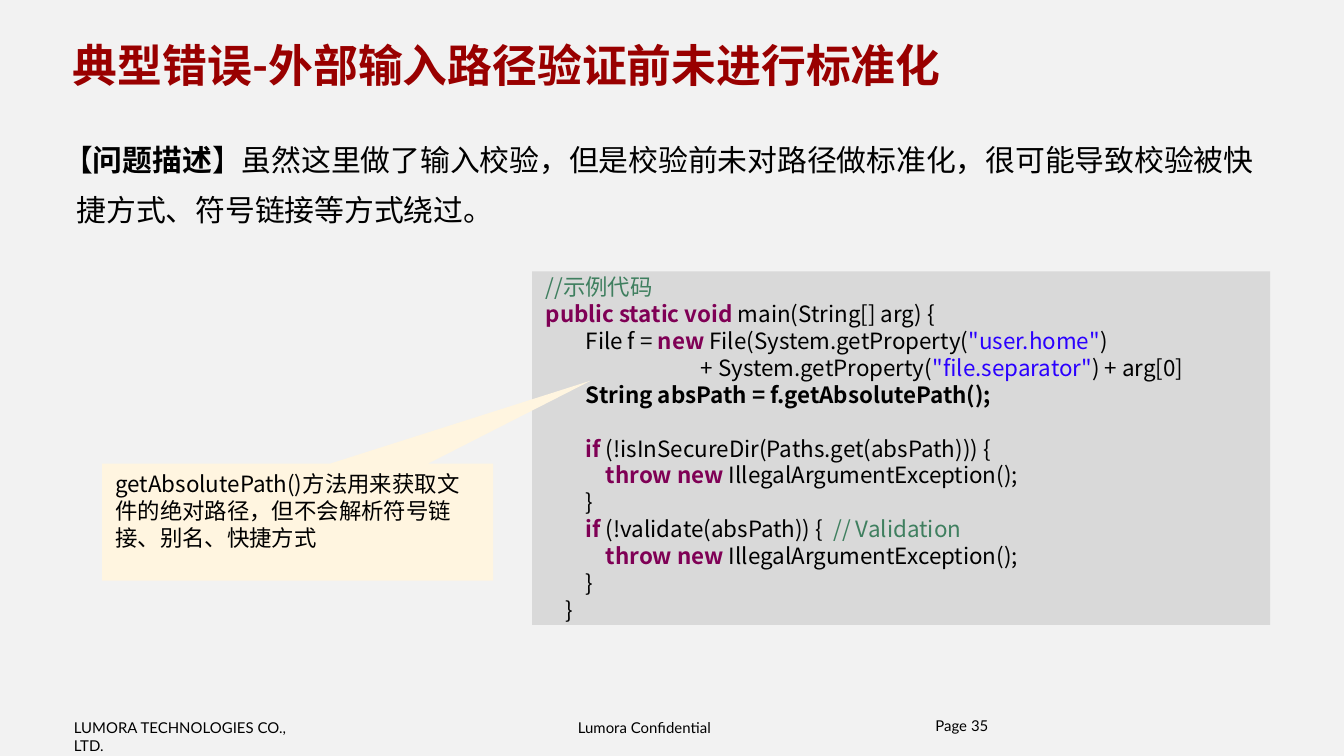
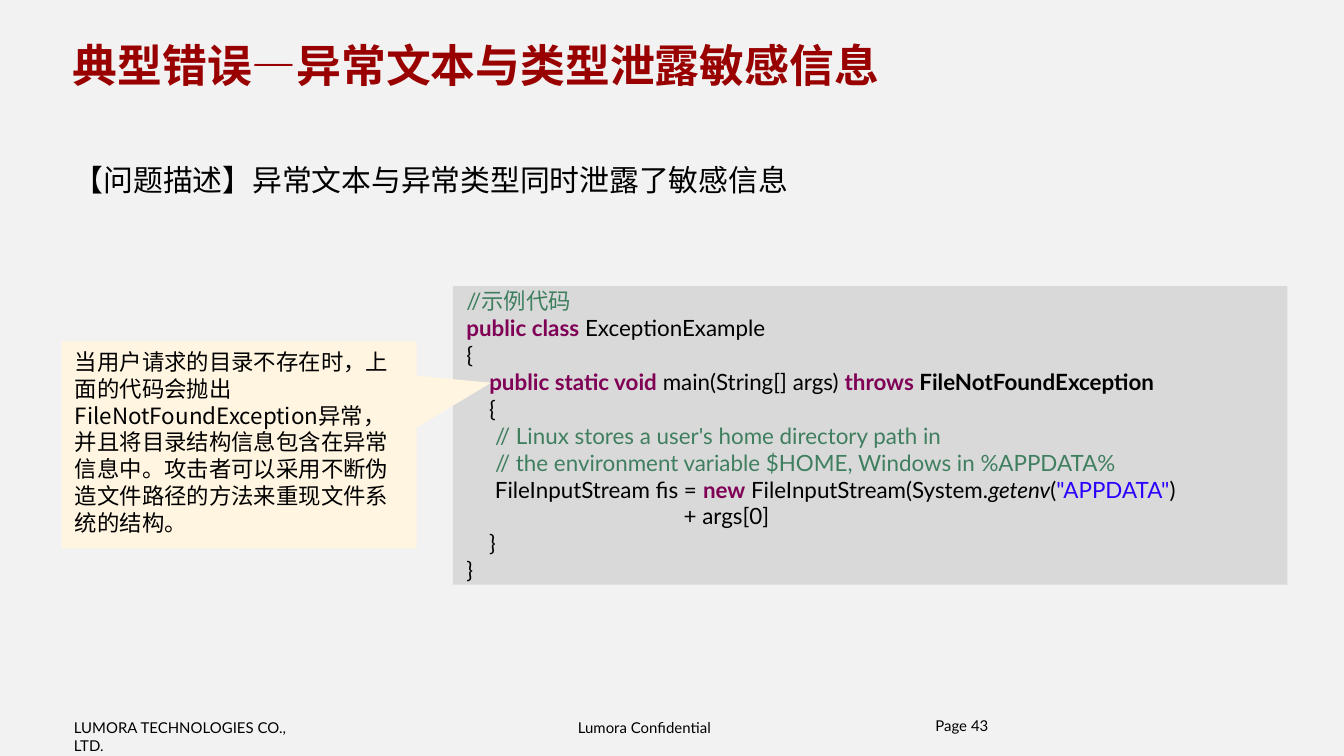
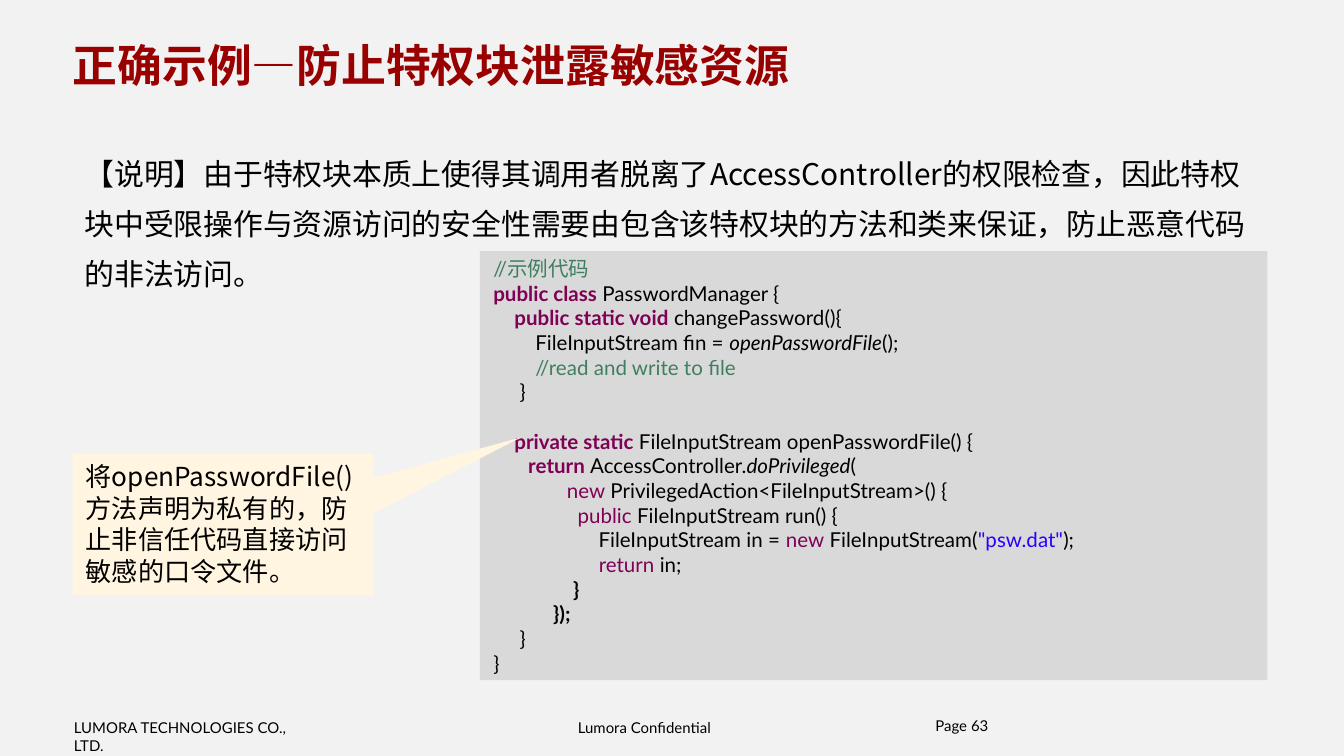
from dataclasses import dataclass

import pptx
import pptx.dml.color
import pptx.enum.shapes
import pptx.enum.text
import pptx.oxml
import pptx.oxml.ns
import pptx.util

Inches = pptx.util.Inches
Anchor = pptx.enum.text.MSO_ANCHOR
AutoSize = pptx.enum.text.MSO_AUTO_SIZE


@dataclass(frozen=True)
class Theme:
    background: str = "F2F2F2"
    title: str = "990000"
    text: str = "000000"
    code_panel: str = "D9D9D9"
    callout: str = "FFF5E0"
    keyword: str = "7F0055"
    comment: str = "3F7F5F"
    string: str = "2A00FF"
    latin_font: str = "Lato"
    chinese_font: str = "Noto Sans CJK SC"
    title_size: int = 24
    description_size: int = 16
    code_size: int = 12
    small_code_size: int = 11
    callout_size: int = 12
    large_callout_size: int = 14
    footer_size: int = 8


THEME = Theme()


def styled(**run_format):
    return lambda text: (text, run_format)


keyword = styled(color=THEME.keyword, bold=True)
light_keyword = styled(color=THEME.keyword)
comment = styled(color=THEME.comment)
string = styled(color=THEME.string)
bold = styled(bold=True)
italic = styled(italic=True)


def rgb(color):
    return pptx.dml.color.RGBColor.from_string(color)


def place(shape, box):
    shape.left, shape.top, shape.width, shape.height = map(Inches, box)


def paint(shape, color):
    shape.fill.solid()
    shape.fill.fore_color.rgb = rgb(color)
    shape.line.fill.background()


def add_run(paragraph, text, size, font, color=THEME.text, bold=False, italic=False):
    run = paragraph.add_run()
    run.text = text
    run.font.size = pptx.util.Pt(size)
    run.font.name = font
    run.font.bold = bold
    run.font.italic = italic
    run.font.color.rgb = rgb(color)
    east_asian = pptx.oxml.parse_xml(
        f'<a:ea {pptx.oxml.ns.nsdecls("a")} typeface="{THEME.chinese_font}"/>')
    run.font._element.append(east_asian)


def write(shape, lines, size, font=THEME.chinese_font, anchor=Anchor.TOP, wrap=True, grow=False,
          insets=(0.1, 0.05, 0.1, 0.05), spacing=1.0, hanging=0, **run_format):
    """Fill a shape with lines; a line is a string or a list of strings and styled pieces."""
    frame = shape.text_frame
    frame.auto_size = AutoSize.SHAPE_TO_FIT_TEXT if grow else AutoSize.NONE
    frame.word_wrap = wrap
    frame.vertical_anchor = anchor
    frame.margin_left, frame.margin_top, frame.margin_right, frame.margin_bottom = map(Inches, insets)
    for index, line in enumerate(lines):
        paragraph = frame.add_paragraph() if index else frame.paragraphs[0]
        properties = paragraph._p.get_or_add_pPr()
        properties.set("marL", str(Inches(hanging)))
        properties.set("indent", str(-Inches(hanging)))
        properties.set("hangingPunct", "0")
        properties.append(pptx.oxml.parse_xml(f'<a:buNone {pptx.oxml.ns.nsdecls("a")}/>'))
        paragraph.alignment = pptx.enum.text.PP_ALIGN.LEFT
        paragraph.line_spacing = spacing
        paragraph.space_before = pptx.util.Pt(0)
        for piece in [line] if isinstance(line, str) else line:
            text, piece_format = (piece, {}) if isinstance(piece, str) else piece
            add_run(paragraph, text, size, font, **{**run_format, **piece_format})


def add_text(slide, box, lines, size, **text_format):
    shape = slide.shapes.add_textbox(*map(Inches, box))
    write(shape, lines, size, **text_format)
    return shape


def add_title(slide, text):
    place(slide.shapes.title, (0.47, 0.24, 8.82, 0.48))
    write(slide.shapes.title, [text], THEME.title_size, font=THEME.latin_font, grow=True,
          anchor=Anchor.MIDDLE, insets=(0.07, 0.04, 0.07, 0.04), color=THEME.title, bold=True)


def add_code(slide, box, lines, size=THEME.code_size, font=THEME.latin_font):
    panel = slide.placeholders[1]
    place(panel, box)
    paint(panel, THEME.code_panel)
    write(panel, lines, size, font=font, anchor=Anchor.MIDDLE, grow=True)


def add_description(slide, box, line, **text_format):
    add_text(slide, box, [line], THEME.description_size,
             insets=(0.09, 0.04, 0.09, 0.04), spacing=1.4, **text_format)


def add_callout(slide, box, text, pointer, size=THEME.callout_size):
    """Add a note whose pointer tip is given as a share of its size from its centre."""
    callout = slide.shapes.add_shape(
        pptx.enum.shapes.MSO_SHAPE.RECTANGULAR_CALLOUT, *map(Inches, box))
    callout.shadow.inherit = False
    callout.adjustments[0], callout.adjustments[1] = pointer
    paint(callout, THEME.callout)
    write(callout, [text], size, insets=(0.1, 0.05, 0.11, 0.05))


def add_page_number(slide, number):
    add_text(slide, (6.96, 5.35, 2.29, 0.37), [f"Page {number}"], THEME.footer_size,
             font=THEME.latin_font, insets=(0, 0, 0, 0), spacing=0.85)


def add_shared_footer(slide):
    """Set the company lines on the layout, so that every slide shows them."""
    footers = [
        ((0.55, 5.35, 1.91, 0.13), "LUMORA TECHNOLOGIES CO., LTD.", 0),
        ((4.21, 5.35, 1.26, 0.13), "Lumora Confidential", 0.09),
    ]
    for box, text, left_inset in footers:
        footer = add_text(slide, box, [text], THEME.footer_size, font=THEME.latin_font,
                          wrap=False, grow=True, insets=(left_inset, 0, 0.09, 0))
        slide.slide_layout.shapes._spTree.append(footer._element)


def start_slide(presentation, title, page):
    slide = presentation.slides.add_slide(presentation.slide_layouts[1])
    add_title(slide, title)
    add_page_number(slide, page)
    return slide


def build_path_slide(presentation):
    slide = start_slide(presentation, "典型错误-外部输入路径验证前未进行标准化", 35)
    indent = " " * 8
    throw_line = [indent + "    ", keyword("throw new"), " IllegalArgumentException();"]
    add_code(slide, (3.96, 1.97, 5.49, 2.73), [
        [comment("//示例代码")],
        [keyword("public static void"), " main(String[] arg) {"],
        [indent + "File f = ", keyword("new"), " File(System.getProperty(",
         string('"user.home"'), ")"],
        [" " * 31 + "+ System.getProperty(", string('"file.separator"'), ") + arg[0]"],
        [indent, bold("String absPath = f.getAbsolutePath();")],
        indent,
        [indent, keyword("if"), " (!isInSecureDir(Paths.get(absPath))) {"],
        throw_line,
        indent + "}",
        [indent, keyword("if"), " (!validate(absPath)) {  ", comment("// Validation")],
        throw_line,
        indent + "}",
        "    }",
    ], font=THEME.chinese_font)
    add_description(slide, (0.38, 0.91, 9.24, 0.76), [
        "【", bold("问题描述"),
        "】虽然这里做了输入校验，但是校验前未对路径做标准化，很可能导致校验被快捷方式、符号链接等方式绕过。",
    ], hanging=0.1)
    add_callout(slide, (0.76, 3.45, 2.91, 0.87),
                "getAbsolutePath()方法用来获取文件的绝对路径，但不会解析符号链接、别名、快捷方式",
                pointer=(0.75, -1.21))
    return slide


def build_exception_slide(presentation):
    slide = start_slide(presentation, "典型错误—异常文本与类型泄露敏感信息", 43)
    add_code(slide, (3.37, 2.08, 6.21, 2.32), [
        [comment("//示例代码")],
        [keyword("public class"), " ExceptionExample"],
        "{",
        ["    ", keyword("public static void"), " main(String[] args) ",
         keyword("throws "), bold("FileNotFoundException")],
        "    {",
        ["     ", comment("// Linux stores a user's home directory path in")],
        ["     ", comment("// the environment variable $HOME, Windows in %APPDATA%")],
        ["     FileInputStream fis = ", keyword("new"), " FileInputStream(System.",
         italic("getenv"), "(", string('"APPDATA"'), ")"],
        " " * 38 + "+ args[0]",
        "    }",
        "}",
    ])
    add_description(slide, (0.46, 1.06, 9.12, 0.47),
                    "【问题描述】异常文本与异常类型同时泄露了敏感信息", grow=True)
    add_callout(slide, (0.46, 2.54, 2.64, 1.54),
                "当用户请求的目录不存在时，上面的代码会抛出FileNotFoundException异常，"
                "并且将目录结构信息包含在异常信息中。攻击者可以采用不断伪造文件路径的方法来重现文件系统的结构。",
                pointer=(0.71, -0.3))


def build_privilege_slide(presentation):
    slide = start_slide(presentation, "正确示例—防止特权块泄露敏感资源", 63)
    add_code(slide, (3.57, 1.82, 5.86, 3.29), [
        [comment("//示例代码")],
        [keyword("public class"), " PasswordManager {"],
        ["    ", keyword("public static void"), " changePassword(){"],
        ["        FileInputStream fin = ", italic("openPasswordFile"), "();"],
        ["        ", comment("//read and write to file")],
        "     }",
        "    ",
        ["    ", keyword("private static"), " FileInputStream openPasswordFile() {"],
        [keyword("       return "), "AccessController.", italic("doPrivileged"), "("],
        [light_keyword("              new "), "PrivilegedAction<FileInputStream>() {"],
        [" " * 16, light_keyword("public"), " FileInputStream run() {"],
        [" " * 20 + "FileInputStream in = ", light_keyword("new"), " FileInputStream(",
         string('"psw.dat"'), ");"],
        [" " * 20, light_keyword("return"), " in;"],
        [bold(" " * 16 + "}")],
        [bold(" " * 12 + "});")],
        "     }",
        "}",
    ], size=THEME.small_code_size)
    add_description(slide, (0.54, 1.01, 8.98, 1.22),
                    "【说明】由于特权块本质上使得其调用者脱离了AccessController的权限检查，"
                    "因此特权块中受限操作与资源访问的安全性需要由包含该特权块的方法和类来保证，防止恶意代码的非法访问。",
                    grow=True)
    add_callout(slide, (0.54, 3.38, 2.24, 1.05),
                "将openPasswordFile()方法声明为私有的，防止非信任代码直接访问敏感的口令文件。",
                pointer=(0.99, -0.62), size=THEME.large_callout_size)


def main():
    presentation = pptx.Presentation()
    presentation.slide_width = Inches(10)
    presentation.slide_height = presentation.slide_width * 9 // 16
    background = presentation.slide_master.background.fill
    background.solid()
    background.fore_color.rgb = rgb(THEME.background)
    add_shared_footer(build_path_slide(presentation))
    build_exception_slide(presentation)
    build_privilege_slide(presentation)
    presentation.save("out.pptx")


if __name__ == "__main__":
    main()
